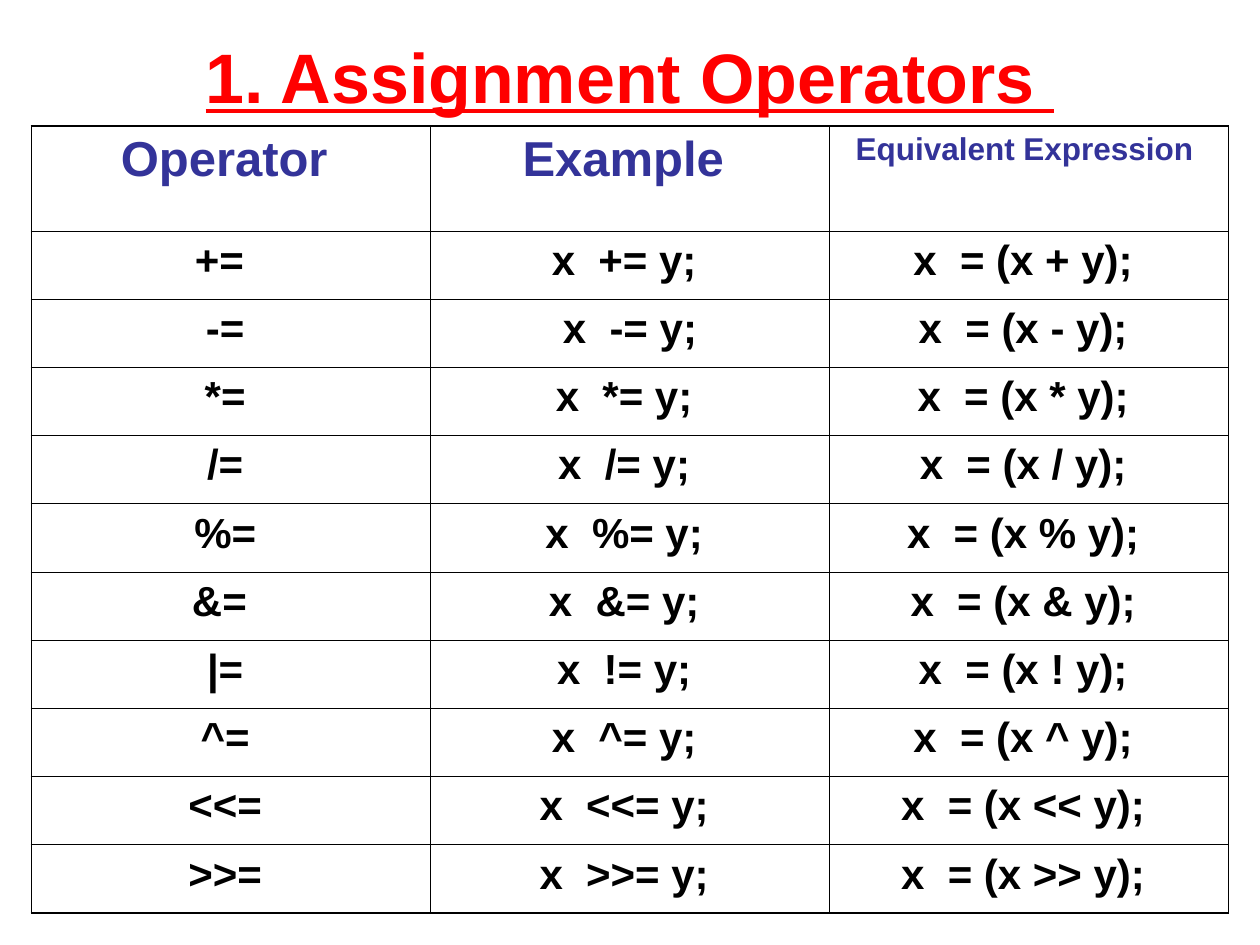
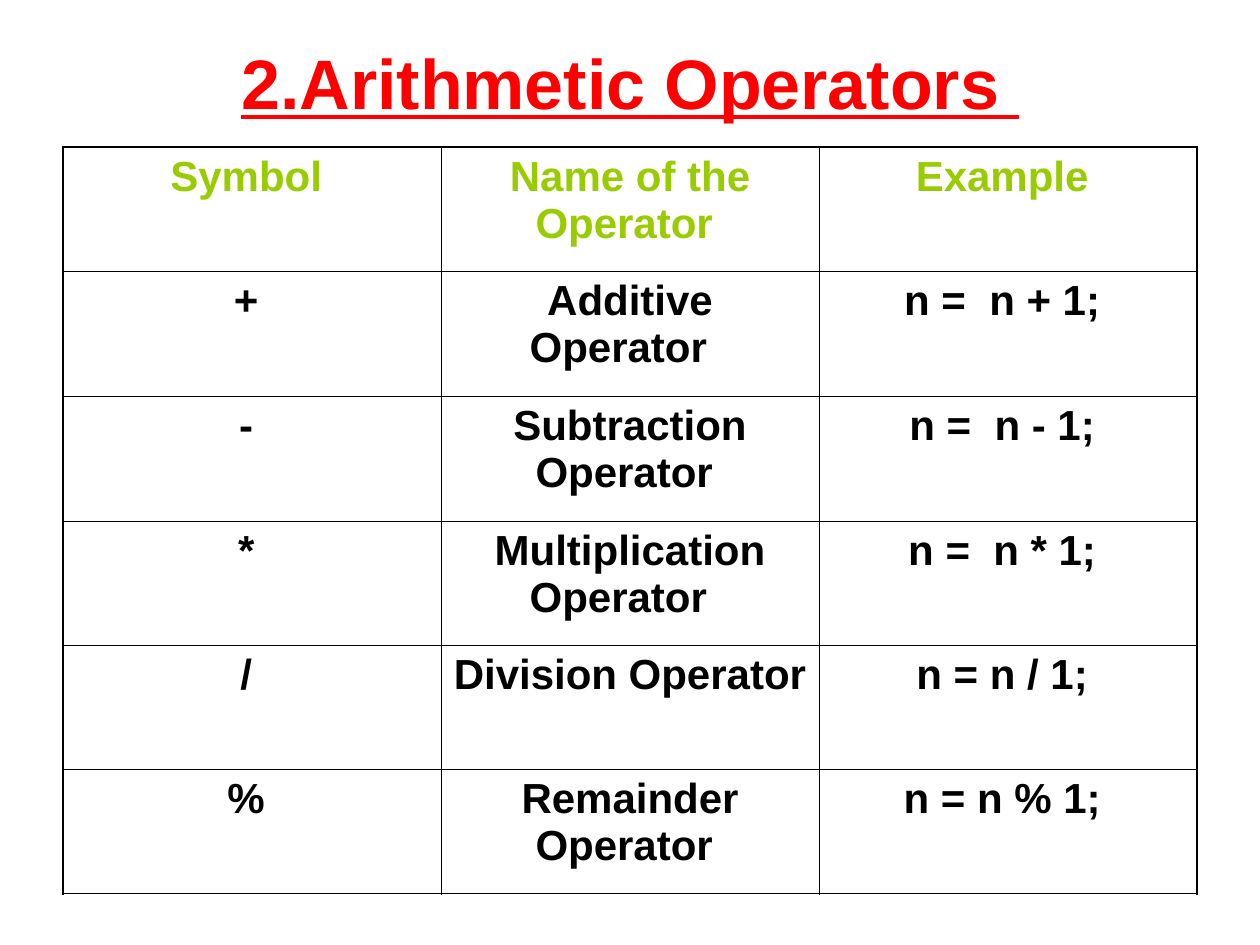
from lxml import etree
from pptx import Presentation
from pptx.dml.color import RGBColor
from pptx.enum.text import MSO_ANCHOR, PP_ALIGN
from pptx.oxml.ns import qn
from pptx.util import Pt

MIDDLE = MSO_ANCHOR.MIDDLE
CENTER = PP_ALIGN.CENTER
FONT = "Arial"
RED, BLUE, GREEN, BLACK = "FF0000", "333399", "99CC00", "000000"
THICK, THIN = 1.08, 0.45
GAP = " "

SIGNS = ["+", "-", "*", "/", "%", "&", "|", "^", "<<", ">>"]
MATHS = [
    ("+ ", f"Additive Operator{GAP} ", f"n ={GAP} n + 1; "),
    ("- ", "Subtraction Operator ", f"n ={GAP} n - 1; "),
    ("* ", f"Multiplication Operator{GAP} ", f"n ={GAP} n * 1; "),
    ("/ ", "Division Operator ", "n = n / 1; "),
    ("% ", "Remainder Operator ", "n = n % 1; "),
]


def paint(color):
    return RGBColor.from_string(color)


def write(frame, text, size, color, line=False):
    para = frame.paragraphs[0]
    para.alignment = CENTER
    run = para.add_run()
    run.text = text
    font = run.font
    font.name = FONT
    font.size = Pt(size)
    font.bold = True
    font.color.rgb = paint(color)
    if line:
        font.underline = True


def add_title(slide, text, high):
    box = slide.shapes.add_textbox(Pt(36), Pt(21.6), Pt(648), Pt(high))
    frame = box.text_frame
    frame.word_wrap = True
    frame.vertical_anchor = MIDDLE
    frame.margin_top, frame.margin_bottom = Pt(5), Pt(0)
    write(frame, text, 40, RED, True)


def add_edge(cell, side, width):
    props = cell._tc.get_or_add_tcPr()
    edge = etree.SubElement(props, qn(f"a:ln{side}"), w=str(Pt(width)))
    fill = etree.SubElement(edge, qn("a:solidFill"))
    etree.SubElement(fill, qn("a:srgbClr"), val=BLACK)


def add_grid(slide, left, top, wide, highs, heads, rows):
    cols = len(heads)
    last = len(rows)
    frame = slide.shapes.add_table(
        last + 1, cols, Pt(left), Pt(top), Pt(wide * cols), Pt(sum(highs)))
    table = frame.table
    table.first_row = table.horz_banding = False
    for col in table.columns:
        col.width = Pt(wide)
    for row, high in zip(table.rows, highs):
        row.height = Pt(high)
    body = [[(text, 24, BLACK) for text in row] for row in rows]
    for r, row in enumerate([heads] + body):
        for c, item in enumerate(row):
            cell = table.cell(r, c)
            outer = {"L": c == 0, "R": c == cols - 1,
                     "T": r == 0, "B": r == last}
            for side, thick in outer.items():
                add_edge(cell, side, THICK if thick else THIN)
            cell.fill.background()
            write(cell.text_frame, *item)


def assign_row(sign):
    tail = GAP if sign in ("+", "&") else ""
    lead = GAP if sign == "-" else ""
    shown = "!" if sign == "|" else sign
    return (f"{sign}={tail} ",
            f"{lead}x{GAP} {shown}= y; ",
            f"x{GAP} = (x {shown} y); ")


def add_assign(deck):
    slide = deck.slides.add_slide(deck.slide_layouts[6])
    add_title(slide, "1. Assignment Operators ", 38.2)
    heads = [(f"Operator{GAP}", 28, BLUE), (f"Example{GAP}", 28, BLUE),
             (f"Equivalent Expression{GAP}", 18, BLUE)]
    rows = [assign_row(sign) for sign in SIGNS]
    add_grid(slide, 18, 72, 228, [60] + [39] * len(rows), heads, rows)


def add_maths(deck):
    slide = deck.slides.add_slide(deck.slide_layouts[6])
    add_title(slide, "2.Arithmetic Operators ", 44.6)
    names = ["Symbol ", "Name of the Operator ", "Example "]
    heads = [(name, 24, GREEN) for name in names]
    highs = [71.25] * 4 + [70.5, 71.25]
    add_grid(slide, 36, 84, 216, highs, heads, MATHS)


def main():
    deck = Presentation()
    deck.slide_width, deck.slide_height = Pt(720), Pt(540)
    add_assign(deck)
    add_maths(deck)
    deck.save("out.pptx")


if __name__ == "__main__":
    main()
